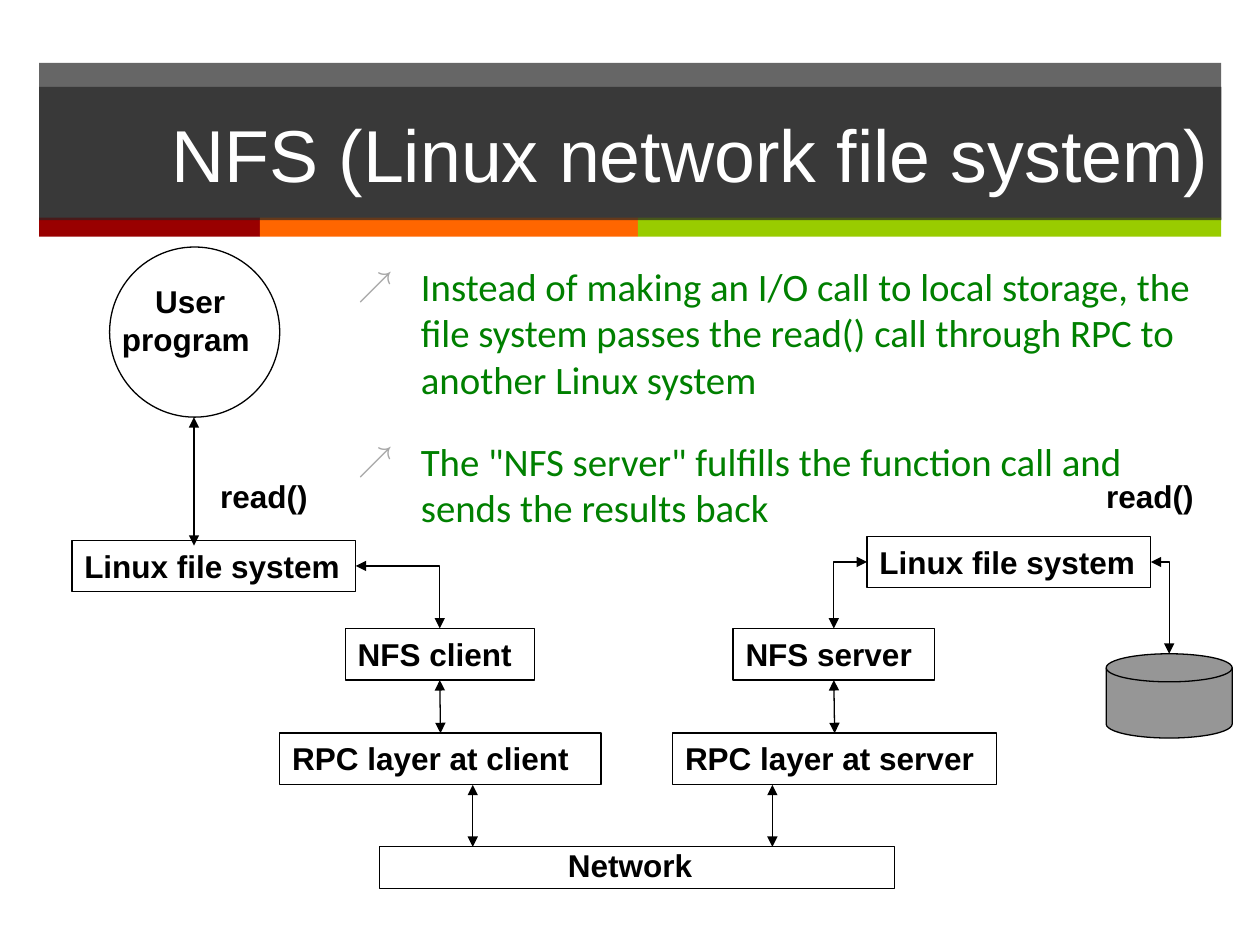
from lxml import etree
from pptx import Presentation
from pptx.dml.color import RGBColor
from pptx.enum.shapes import MSO_CONNECTOR, MSO_SHAPE
from pptx.enum.text import MSO_ANCHOR, MSO_AUTO_SIZE, PP_ALIGN
from pptx.oxml.ns import qn
from pptx.util import Cm, Pt

RECT = MSO_SHAPE.RECTANGLE
OVAL = MSO_SHAPE.OVAL
DISK = MSO_SHAPE.FLOWCHART_MAGNETIC_DISK
STRAIGHT, ELBOW = MSO_CONNECTOR.STRAIGHT, MSO_CONNECTOR.ELBOW
LEFT, CENTER, RIGHT = PP_ALIGN.LEFT, PP_ALIGN.CENTER, PP_ALIGN.RIGHT
TOP, MIDDLE = MSO_ANCHOR.TOP, MSO_ANCHOR.MIDDLE
FIXED = MSO_AUTO_SIZE.NONE

COLORS = {
    "band": "262626", "red": "990000", "orange": "FF6600", "lime": "99CC00",
    "black": "000000", "white": "FFFFFF", "gray": "969696",
    "green": "008000", "bullet": "A6A6A6",
}
LABEL = {"name": "Arial", "size": Pt(18), "bold": True}
TITLE = {"name": "Arial", "size": Pt(42), "bold": False}
BODY = {"name": "Calibri", "size": Pt(22.2), "bold": False}

POINTS = [
    "Instead of making an I/O call to local storage, the file system passes "
    "the read() call through RPC to another Linux system",
    'The "NFS server" fulfills the function call and sends the results back',
]


def rgb(name):
    return RGBColor.from_string(COLORS[name])


def sub(parent, tag, **attrs):
    return etree.SubElement(parent, qn(tag), attrs)


def format_font(font, values, color):
    for name, value in values.items():
        setattr(font, name, value)
    font.color.rgb = rgb(color)


def fill_shape(sp, color, alpha=None):
    sp.fill.solid()
    sp.fill.fore_color.rgb = rgb(color)
    if alpha:
        clr = sp._element.spPr.find(qn("a:solidFill"))[0]
        sub(clr, "a:alpha", val=str(alpha * 1000))


def add_shape(s, kind, at, fill=None, line=None, alpha=None):
    sp = s.shapes.add_shape(kind, *map(Cm, at))
    sp.shadow.inherit = False
    if fill:
        fill_shape(sp, fill, alpha)
    else:
        sp.fill.background()
    if line:
        sp.line.color.rgb = rgb(line)
        sp.line.width = Pt(0.75)
    else:
        sp.line.fill.background()
    return sp


def set_label(sp, text, align=LEFT, wrap=False):
    tf = sp.text_frame
    tf.word_wrap = wrap
    tf.vertical_anchor = TOP
    p = tf.paragraphs[0]
    p.alignment = align
    r = p.add_run()
    r.text = text
    format_font(r.font, LABEL, "black")


def add_box(s, text, at):
    sp = add_shape(s, RECT, at, line="black")
    set_label(sp, text)
    return sp


def add_label(s, text, at, align=LEFT, wrap=False):
    set_label(s.shapes.add_textbox(*map(Cm, at)), text, align, wrap)


def add_arrow(s, start, end, kind=STRAIGHT):
    cx = s.shapes.add_connector(kind, *start, *end)
    cx.line.color.rgb = rgb("black")
    cx.line.width = Pt(0.75)
    spPr = cx._element.spPr
    ln = spPr.find(qn("a:ln"))
    for tag in ("a:headEnd", "a:tailEnd"):
        sub(ln, tag, type="triangle")
    sub(spPr, "a:effectLst")
    return cx


def link_down(s, upper, lower):
    cx = add_arrow(s, (0, 0), (0, 0))
    cx.begin_connect(upper, 2)
    cx.end_connect(lower, 0)


def link_corner(s, side, target):
    x = target.left + target.width // 2
    y = side.top + side.height // 2
    start = side.left if x < side.left else side.left + side.width
    cx = add_arrow(s, (start, y), (x, target.top), ELBOW)
    cx._element.spPr.find(qn("a:prstGeom")).set("prst", "bentConnector2")


def place(s, sp, at):
    sp.left, sp.top, sp.width, sp.height = map(Cm, at)
    s.shapes._spTree.append(sp._element)
    tf = sp.text_frame
    tf.word_wrap = True
    tf.auto_size = FIXED
    return tf


def add_title(s, text, at):
    sp = s.shapes.title
    tf = place(s, sp, at)
    fill_shape(sp, "band", 70)
    tf.vertical_anchor = MIDDLE
    p = tf.paragraphs[0]
    p.alignment = RIGHT
    r = p.add_run()
    r.text = text
    format_font(r.font, TITLE, "white")


def add_bullets(s, points, at):
    tf = place(s, s.placeholders[1], at)
    for i, text in enumerate(points):
        p = tf.add_paragraph() if i else tf.paragraphs[0]
        pPr = p._p.get_or_add_pPr()
        pPr.set("marL", str(Cm(1.27)))
        pPr.set("indent", str(-Cm(1.27)))
        sub(sub(pPr, "a:buClr"), "a:srgbClr", val=COLORS["bullet"])
        sub(pPr, "a:buSzPct", val="90000")
        sub(pPr, "a:buChar", char="↗")
        p.space_before = Pt(20 if i else 0)
        r = p.add_run()
        r.text = text
        format_font(r.font, BODY, "green")


def add_header(s):
    left = 0.79
    add_shape(s, RECT, (left, 1.27, 23.83, 3.15), "band", alpha=70)
    for color, width in (("red", 4.45), ("orange", 7.62), ("lime", 11.76)):
        add_shape(s, RECT, (left, 4.39, width, 0.38), color)
        left += width


def add_diagram(s):
    add_shape(s, OVAL, (2.21, 4.98, 3.43, 3.43), line="black")
    add_label(s, "User program ", (1.83, 5.56, 4.01, 1.8), CENTER, True)
    for x in (4.19, 22.05):
        add_label(s, "read()", (x, 9.5, 2.29, 1.02))

    local_fs = add_box(s, "Linux file system", (1.45, 10.9, 5.72, 1.02))
    client = add_box(s, "NFS client", (6.96, 12.67, 3.81, 1.04))
    client_rpc = add_box(s, "RPC layer at client", (5.64, 14.78, 6.48, 1.04))
    remote_fs = add_box(s, "Linux file system", (17.48, 10.82, 5.72, 1.02))
    server = add_box(s, "NFS server", (14.78, 12.67, 4.06, 1.04))
    server_rpc = add_box(s, "RPC layer at server", (13.56, 14.78, 6.53, 1.04))
    disk = add_shape(s, DISK, (22.3, 13.18, 2.54, 1.7), "gray", "black")
    add_shape(s, RECT, (7.65, 17.07, 10.39, 0.84), line="black")
    add_label(s, "Network", (11.2, 16.94, 3.38, 1.02))

    for x, top, bottom in ((3.91, 8.41, 11), (9.53, 15.82, 17.07),
                           (15.57, 15.82, 17.07)):
        add_arrow(s, (Cm(x), Cm(top)), (Cm(x), Cm(bottom)))
    link_down(s, client, client_rpc)
    link_down(s, server, server_rpc)
    link_corner(s, local_fs, client)
    link_corner(s, remote_fs, server)
    link_corner(s, remote_fs, disk)


def main():
    prs = Presentation()
    prs.slide_width, prs.slide_height = Cm(25.4), Cm(19.05)
    s = prs.slides.add_slide(prs.slide_layouts[1])
    add_header(s)
    add_diagram(s)
    add_title(s, "NFS (Linux network file system)", (0.79, 1.75, 23.83, 2.69))
    add_bullets(s, POINTS, (6.96, 5.16, 17.65, 5.31))
    prs.save("out.pptx")


if __name__ == "__main__":
    main()
